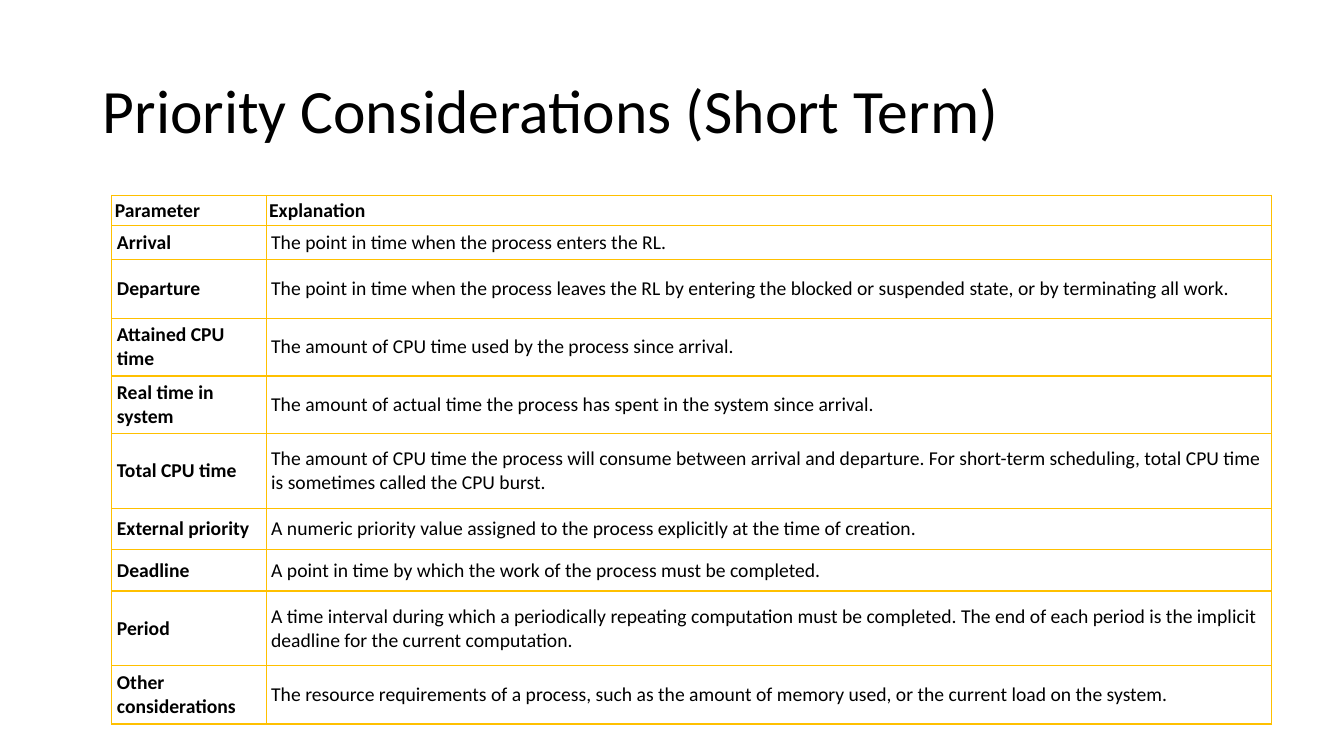
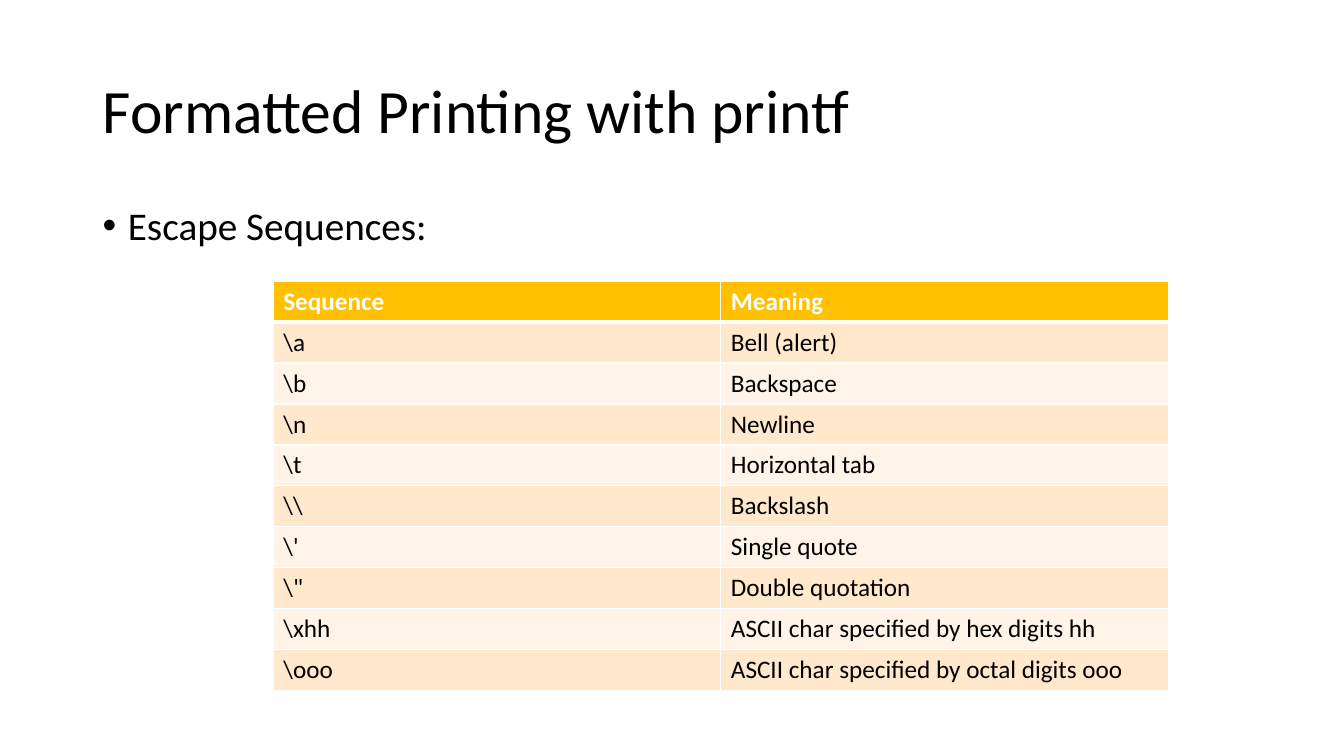
import dataclasses

import lxml.etree
import pptx
import pptx.dml.color
import pptx.enum.text
import pptx.oxml.ns
import pptx.slide
import pptx.table
import pptx.text.text
import pptx.util

Inches = pptx.util.Inches
RGBColor = pptx.dml.color.RGBColor
Anchor = pptx.enum.text.MSO_ANCHOR

FONT = "Calibri"
BLACK = RGBColor(0x00, 0x00, 0x00)
WHITE = RGBColor(0xFF, 0xFF, 0xFF)
GOLD = RGBColor(0xFF, 0xC0, 0x00)
PEACH = RGBColor(0xFF, 0xE8, 0xCC)
CREAM = RGBColor(0xFF, 0xF4, 0xE7)

CONTENT_LEFT, CONTENT_WIDTH = Inches(0.92), Inches(11.5)
TITLE_ONLY = 5


@dataclasses.dataclass
class CellStyle:
    """Look of one table cell; border widths are in points."""
    size: int
    border: RGBColor
    color: RGBColor = BLACK
    bold: bool = False
    fill: RGBColor | None = None
    anchor: Anchor = Anchor.TOP
    inset_x: float = 0.1
    inset_y: float = 0.05
    top: int = 1
    bottom: int = 1


@dataclasses.dataclass
class Grid:
    """Place and measures of a table, in inches."""
    left: float
    top: float
    columns: list[float]
    rows: list[float]


PARAMETERS = [
    ("Parameter", "Explanation"),
    ("Arrival", "The point in time when the process enters the RL."),
    ("Departure", "The point in time when the process leaves the RL by entering the "
     "blocked or suspended state, or by terminating all work."),
    ("Attained CPU time", "The amount of CPU time used by the process since arrival."),
    ("Real time in system", "The amount of actual time the process has spent in the "
     "system since arrival."),
    ("Total CPU time", "The amount of CPU time the process will consume between arrival "
     "and departure. For short-term scheduling, total CPU time is sometimes called the "
     "CPU burst."),
    ("External priority", "A numeric priority value assigned to the process explicitly "
     "at the time of creation."),
    ("Deadline", "A point in time by which the work of the process must be completed."),
    ("Period", "A time interval during which a periodically repeating computation must "
     "be completed. The end of each period is the implicit deadline for the current "
     "computation."),
    ("Other considerations", "The resource requirements of a process, such as the amount "
     "of memory used, or the current load on the system."),
]

ESCAPES = [
    ("Sequence", "Meaning"),
    (r"\a", "Bell (alert)"),
    (r"\b", "Backspace"),
    (r"\n", "Newline"),
    (r"\t", "Horizontal tab"),
    (r"\\", "Backslash"),
    (r"\'", "Single quote"),
    (r'\"', "Double quotation"),
    (r"\xhh", "ASCII char specified by hex digits hh"),
    (r"\ooo", "ASCII char specified by octal digits ooo"),
]


def add_span(para: pptx.text.text._Paragraph, text: str, size: int,
             color: RGBColor = BLACK, bold: bool = False) -> None:
    span = para.add_run()
    span.text = text
    span.font.name = FONT
    span.font.size = pptx.util.Pt(size)
    span.font.bold = bold
    span.font.color.rgb = color


def add_page(deck, title: str) -> pptx.slide.Slide:
    """Add a slide with the shared title style."""
    page = deck.slides.add_slide(deck.slide_layouts[TITLE_ONLY])
    box = page.shapes.title
    box.left, box.top = CONTENT_LEFT, Inches(0.4)
    box.width, box.height = CONTENT_WIDTH, Inches(1.45)
    frame = box.text_frame
    frame.auto_size = pptx.enum.text.MSO_AUTO_SIZE.NONE
    frame.vertical_anchor = Anchor.MIDDLE
    para = frame.paragraphs[0]
    para.alignment = pptx.enum.text.PP_ALIGN.LEFT
    para.line_spacing = 0.9
    add_span(para, title, 44)
    return page


def add_bullet(page: pptx.slide.Slide, text: str) -> None:
    box = page.shapes.add_textbox(CONTENT_LEFT, Inches(2), CONTENT_WIDTH, Inches(0.6))
    box.text_frame.word_wrap = True
    para = box.text_frame.paragraphs[0]
    properties = para._p.get_or_add_pPr()
    properties.set("marL", str(Inches(0.25)))
    properties.set("indent", str(-Inches(0.25)))
    font = lxml.etree.SubElement(properties, pptx.oxml.ns.qn("a:buFont"))
    font.set("typeface", "Arial")
    bullet = lxml.etree.SubElement(properties, pptx.oxml.ns.qn("a:buChar"))
    bullet.set("char", "•")
    para.line_spacing = 0.9
    add_span(para, text, 28)


def set_borders(cell: pptx.table._Cell, style: CellStyle) -> None:
    properties = cell._tc.get_or_add_tcPr()
    widths = {"lnL": 1, "lnR": 1, "lnT": style.top, "lnB": style.bottom}
    for side, width in widths.items():
        line = lxml.etree.SubElement(properties, pptx.oxml.ns.qn(f"a:{side}"))
        line.set("w", str(pptx.util.Pt(width)))
        fill = lxml.etree.SubElement(line, pptx.oxml.ns.qn("a:solidFill"))
        color = lxml.etree.SubElement(fill, pptx.oxml.ns.qn("a:srgbClr"))
        color.set("val", str(style.border))


def fill_cell(cell: pptx.table._Cell, text: str, style: CellStyle) -> None:
    set_borders(cell, style)
    if style.fill is None:
        cell.fill.background()
    else:
        cell.fill.solid()
        cell.fill.fore_color.rgb = style.fill
    cell.vertical_anchor = style.anchor
    cell.margin_left = cell.margin_right = Inches(style.inset_x)
    cell.margin_top = cell.margin_bottom = Inches(style.inset_y)
    add_span(cell.text_frame.paragraphs[0], text, style.size, style.color, style.bold)


def add_grid(page: pptx.slide.Slide, grid: Grid, texts: list[tuple[str, str]],
             styles: list[list[CellStyle]]) -> None:
    table = page.shapes.add_table(
        len(grid.rows), len(grid.columns), Inches(grid.left), Inches(grid.top),
        Inches(sum(grid.columns)), Inches(sum(grid.rows))).table
    table.first_row = table.horz_banding = False
    for column, width in zip(table.columns, grid.columns):
        column.width = Inches(width)
    for row, height, row_texts, row_styles in zip(table.rows, grid.rows, texts, styles):
        row.height = Inches(height)
        for cell, text, style in zip(row.cells, row_texts, row_styles):
            fill_cell(cell, text, style)


def add_priority_page(deck) -> None:
    page = add_page(deck, "Priority Considerations (Short Term)")
    plain = CellStyle(14, GOLD, anchor=Anchor.MIDDLE, inset_x=0.05)
    label = dataclasses.replace(plain, bold=True)
    header = dataclasses.replace(label, inset_x=0.03, inset_y=0.03)
    styles = [[header, header]] + [[label, plain]] * (len(PARAMETERS) - 1)
    heights = [0.3, 0.33, 0.58, 0.57, 0.57, 0.74, 0.41, 0.41, 0.74, 0.58]
    add_grid(page, Grid(1.11, 1.94, [1.53, 9.97], heights), PARAMETERS, styles)


def add_printf_page(deck) -> None:
    page = add_page(deck, "Formatted Printing with printf")
    add_bullet(page, "Escape Sequences:")
    header = CellStyle(18, WHITE, WHITE, bold=True, fill=GOLD, bottom=3)
    styles = [[header] * 2]
    for number in range(1, len(ESCAPES)):
        # The first body row shares the thick line under the header
        body = CellStyle(18, WHITE, fill=PEACH if number % 2 else CREAM,
                         top=3 if number == 1 else 1)
        styles.append([body] * 2)
    add_grid(page, Grid(2.71, 2.79, [4.44] * 2, [0.406] * len(ESCAPES)), ESCAPES, styles)


def main() -> None:
    deck = pptx.Presentation()
    deck.slide_width, deck.slide_height = Inches(13.33), Inches(7.5)
    add_priority_page(deck)
    add_printf_page(deck)
    deck.save("out.pptx")


if __name__ == "__main__":
    main()
